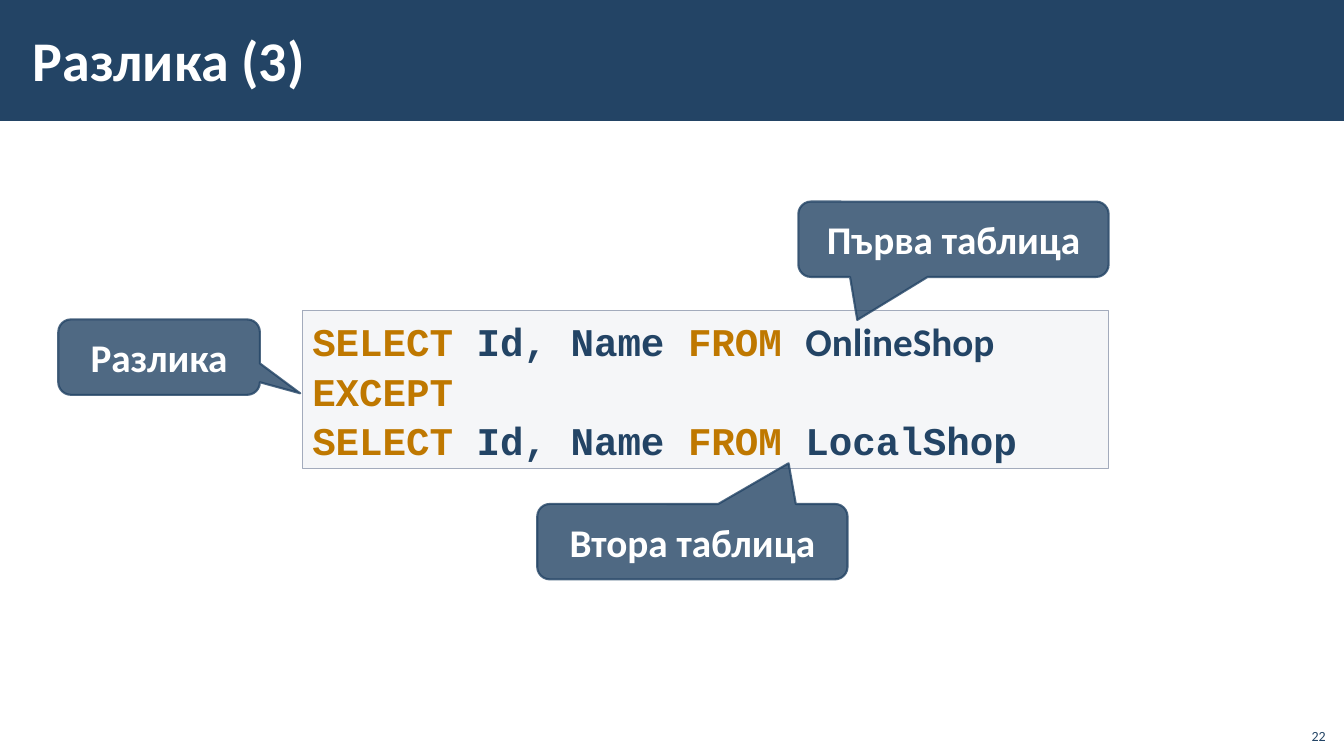
import dataclasses

import lxml.etree
import pptx
import pptx.dml.color
import pptx.dml.fill
import pptx.enum.shapes
import pptx.enum.text
import pptx.oxml.ns
import pptx.shapes.autoshape
import pptx.slide
import pptx.util

Cm = pptx.util.Cm
Pt = pptx.util.Pt
RGBColor = pptx.dml.color.RGBColor
Shape = pptx.shapes.autoshape.Shape
ShapeKind = pptx.enum.shapes.MSO_SHAPE
Align = pptx.enum.text.PP_ALIGN
Anchor = pptx.enum.text.MSO_ANCHOR

NAVY = RGBColor(0x23, 0x44, 0x65)
WHITE = RGBColor(0xFF, 0xFF, 0xFF)
AMBER = RGBColor(0xBF, 0x78, 0x00)
PANEL_FILL = RGBColor(0xC2, 0xC7, 0xD2)
PANEL_EDGE = RGBColor(0xA3, 0xAB, 0xBC)
BODY_FONT = "Calibri"
CODE_FONT = "Courier New"


@dataclasses.dataclass(frozen=True)
class Area:
    left: float
    top: float
    width: float
    height: float

    def lengths(self) -> tuple[Cm, Cm, Cm, Cm]:
        return Cm(self.left), Cm(self.top), Cm(self.width), Cm(self.height)


@dataclasses.dataclass(frozen=True)
class Callout:
    text: str
    area: Area
    tip_x: float
    tip_y: float


@dataclasses.dataclass(frozen=True)
class Span:
    text: str
    color: RGBColor = NAVY
    font: str = CODE_FONT


CALLOUTS = (
    Callout("Първа таблица", Area(20.12, 5.08, 7.82, 1.9), -0.31, 1.07),
    Callout("Втора таблица", Area(13.54, 12.7, 7.82, 1.9), 0.31, -1.04),
    Callout("Разлика", Area(1.47, 8.05, 5.08, 1.9), 0.7, 0.48),
)

CODE_LINES = (
    (Span("SELECT", AMBER), Span(" Id, Name "), Span("FROM ", AMBER),
     Span("OnlineShop", font=BODY_FONT)),
    (Span("EXCEPT", AMBER),),
    (Span("SELECT", AMBER), Span(" Id, Name "), Span("FROM", AMBER),
     Span(" LocalShop")),
)


def set_opacity(fill: pptx.dml.fill.FillFormat, color: RGBColor,
                percent: int, parent: lxml.etree._Element) -> None:
    """Fill with a colour that lets part of the background through."""
    fill.solid()
    fill.fore_color.rgb = color
    tint = parent.find(pptx.oxml.ns.qn("a:solidFill"))[0]
    alpha = lxml.etree.SubElement(tint, pptx.oxml.ns.qn("a:alpha"))
    alpha.set("val", str(percent * 1000))


def add_shape(page: pptx.slide.Slide, kind: ShapeKind, area: Area) -> Shape:
    shape = page.shapes.add_shape(kind, *area.lengths())
    shape.shadow.inherit = False
    return shape


def write_line(box: Shape, text: str, size: float, color: RGBColor,
               align: Align, anchor: Anchor, bold: bool = True) -> None:
    frame = box.text_frame
    frame.word_wrap = True
    frame.vertical_anchor = anchor
    para = frame.paragraphs[0]
    para.text = text
    para.alignment = align
    para.font.name = BODY_FONT
    para.font.size = Pt(size)
    para.font.bold = bold
    para.font.color.rgb = color


def add_code(page: pptx.slide.Slide, area: Area) -> None:
    panel = add_shape(page, ShapeKind.RECTANGLE, area)
    set_opacity(panel.fill, PANEL_FILL, 15, panel.element.spPr)
    panel.line.color.rgb = PANEL_EDGE
    panel.line.width = Pt(1)
    frame = panel.text_frame
    frame.word_wrap = True
    frame.vertical_anchor = Anchor.TOP
    for index, spans in enumerate(CODE_LINES):
        para = frame.add_paragraph() if index else frame.paragraphs[0]
        para.alignment = Align.LEFT
        para.line_spacing = 1.05
        para.font.size = Pt(28)
        para.font.bold = True
        for span in spans:
            run = para.add_run()
            run.text = span.text
            run.font.name = span.font
            run.font.color.rgb = span.color


def add_callout(page: pptx.slide.Slide, callout: Callout) -> None:
    bubble = add_shape(page, ShapeKind.ROUNDED_RECTANGULAR_CALLOUT, callout.area)
    bubble.adjustments[0] = callout.tip_x
    bubble.adjustments[1] = callout.tip_y
    set_opacity(bubble.fill, NAVY, 80, bubble.element.spPr)
    bubble.line.width = Pt(1.5)
    set_opacity(bubble.line.fill, NAVY, 80, bubble.element.spPr.ln)
    write_line(bubble, callout.text, 28, WHITE, Align.CENTER, Anchor.MIDDLE)


def main() -> None:
    deck = pptx.Presentation()
    deck.slide_width = Cm(33.87)
    deck.slide_height = Cm(19.05)
    page = deck.slides.add_slide(deck.slide_layouts[6])

    # Title band
    band = add_shape(page, ShapeKind.RECTANGLE, Area(0, 0, 33.87, 3.05))
    band.fill.solid()
    band.fill.fore_color.rgb = NAVY
    band.line.fill.background()
    title = page.shapes.add_textbox(*Area(0.53, 0.28, 28.52, 2.44).lengths())
    title.text_frame.margin_left = title.text_frame.margin_right = Cm(0.3)
    title.text_frame.margin_top = title.text_frame.margin_bottom = Cm(0.1)
    write_line(title, "Разлика (3)", 40, WHITE, Align.LEFT, Anchor.MIDDLE)

    # Query and its callouts
    add_code(page, Area(7.62, 7.82, 20.32, 3.99))
    for callout in CALLOUTS:
        add_callout(page, callout)

    # Page number
    number = page.shapes.add_textbox(*Area(32.64, 18.08, 1.02, 0.81).lengths())
    write_line(number, "22", 10, NAVY, Align.RIGHT, Anchor.BOTTOM, bold=False)

    deck.save("out.pptx")


if __name__ == "__main__":
    main()
